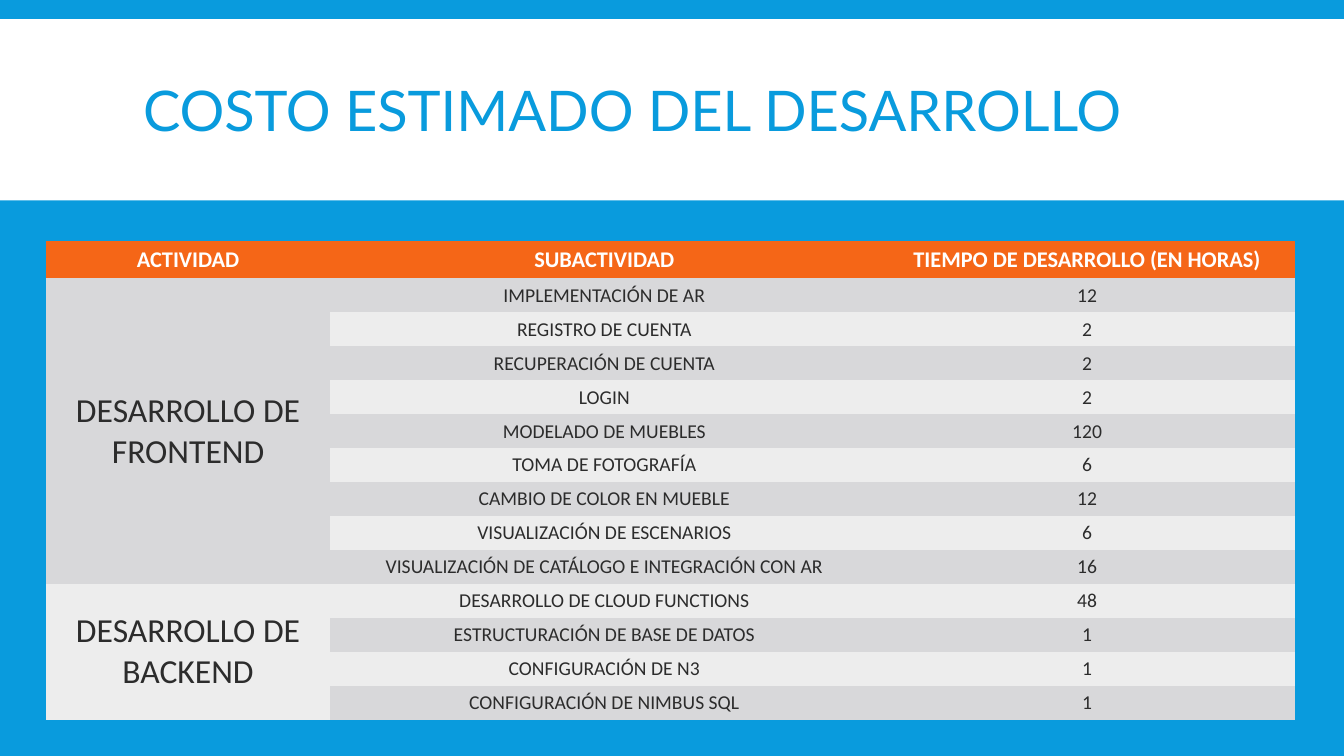
import pptx
import pptx.util
import pptx.dml.color
import pptx.enum.shapes
import pptx.enum.text

Cm = pptx.util.Cm
Pt = pptx.util.Pt
ALIGN = pptx.enum.text.PP_ALIGN
MIDDLE = pptx.enum.text.MSO_ANCHOR.MIDDLE

COLORS = {
    "blue": "099BDD",
    "white": "FFFFFF",
    "orange": "F56617",
    "ink": "2C2C2C",
    "dark_band": "D8D8DA",
    "light_band": "EDEDED",
}
FORMATS = {
    "title": {"name": "Lato", "size": Pt(40), "bold": False},
    "header": {"name": "Calibri", "size": Pt(16), "bold": True},
    "activity": {"name": "Calibri", "size": Pt(24), "bold": False},
    "body": {"name": "Calibri", "size": Pt(14), "bold": False},
}
NO_GRID_STYLE = "{2D5ABB26-0587-4C30-8999-92F81FD0307C}"

HEADERS = ["ACTIVIDAD", "SUBACTIVIDAD", "TIEMPO DE DESARROLLO (EN HORAS)"]
ACTIVITIES = {
    "DESARROLLO DE FRONTEND": [
        ("IMPLEMENTACIÓN DE AR", 12),
        ("REGISTRO DE CUENTA", 2),
        ("RECUPERACIÓN DE CUENTA", 2),
        ("LOGIN", 2),
        ("MODELADO DE MUEBLES", 120),
        ("TOMA DE FOTOGRAFÍA", 6),
        ("CAMBIO DE COLOR EN MUEBLE", 12),
        ("VISUALIZACIÓN DE ESCENARIOS", 6),
        ("VISUALIZACIÓN DE CATÁLOGO E INTEGRACIÓN CON AR", 16),
    ],
    "DESARROLLO DE BACKEND": [
        ("DESARROLLO DE CLOUD FUNCTIONS", 48),
        ("ESTRUCTURACIÓN DE BASE DE DATOS", 1),
        ("CONFIGURACIÓN DE N3", 1),
        ("CONFIGURACIÓN DE NIMBUS SQL", 1),
    ],
}
COLUMN_WIDTHS = [7.14, 13.84, 10.49]
HEADER_HEIGHT = 0.94
ROW_HEIGHT = 0.85


def paint(fill, color):
    fill.solid()
    fill.fore_color.rgb = pptx.dml.color.RGBColor.from_string(COLORS[color])


def write(para, text, style, color, align):
    para.alignment = align
    span = para.add_run()
    span.text = text
    for key, value in FORMATS[style].items():
        setattr(span.font, key, value)
    span.font.color.rgb = pptx.dml.color.RGBColor.from_string(COLORS[color])


def fill_cell(cell, text, style, color, background):
    cell.vertical_anchor = MIDDLE
    paint(cell.fill, background)
    write(cell.text_frame.paragraphs[0], text, style, color, ALIGN.CENTER)


def add_title_band(page, left, top, width, height):
    band = page.shapes.add_shape(
        pptx.enum.shapes.MSO_SHAPE.RECTANGLE, Cm(left), Cm(top), Cm(width), Cm(height))
    band.shadow.inherit = False
    paint(band.fill, "white")
    band.line.fill.background()

    title = page.shapes.title
    title.element.addprevious(band.element)
    place = {"left": left + 3.35, "top": top + 0.31, "width": width - 6.69, "height": height - 0.38}
    for key, value in place.items():
        setattr(title, key, Cm(value))
    frame = title.text_frame
    frame.auto_size = pptx.enum.text.MSO_AUTO_SIZE.NONE
    frame.vertical_anchor = MIDDLE
    para = frame.paragraphs[0]
    para.line_spacing = 0.85
    write(para, "COSTO ESTIMADO DEL DESARROLLO", "title", "blue", ALIGN.LEFT)


def add_cost_table(page, left, top):
    tasks = sum(len(items) for items in ACTIVITIES.values())
    frame = page.shapes.add_table(
        tasks + 1, len(HEADERS), Cm(left), Cm(top),
        Cm(sum(COLUMN_WIDTHS)), Cm(HEADER_HEIGHT + tasks * ROW_HEIGHT))
    table = frame.table
    table.horz_banding = False
    frame.element.xpath(".//a:tableStyleId")[0].text = NO_GRID_STYLE
    for column, width in zip(table.columns, COLUMN_WIDTHS):
        column.width = Cm(width)
    for index, row in enumerate(table.rows):
        row.height = Cm(ROW_HEIGHT if index else HEADER_HEIGHT)

    for column, header in enumerate(HEADERS):
        fill_cell(table.cell(0, column), header, "header", "white", "orange")
    row = 1
    for activity, items in ACTIVITIES.items():
        start = table.cell(row, 0)
        start.merge(table.cell(row + len(items) - 1, 0))
        fill_cell(start, activity, "activity", "ink", "dark_band" if row % 2 else "light_band")
        for item in items:
            background = "dark_band" if row % 2 else "light_band"
            for column, value in enumerate(item, start=1):
                fill_cell(table.cell(row, column), str(value), "body", "ink", background)
            row += 1


def build_cost_slide(deck):
    page = deck.slides.add_slide(deck.slide_layouts[5])
    paint(page.background.fill, "blue")
    add_title_band(page, 0, 0.48, 33.87, 4.57)
    add_cost_table(page, 1.17, 6.07)


def main():
    deck = pptx.Presentation()
    deck.slide_width = Cm(33.87)
    deck.slide_height = Cm(19.05)
    build_cost_slide(deck)
    deck.save("out.pptx")


if __name__ == "__main__":
    main()
